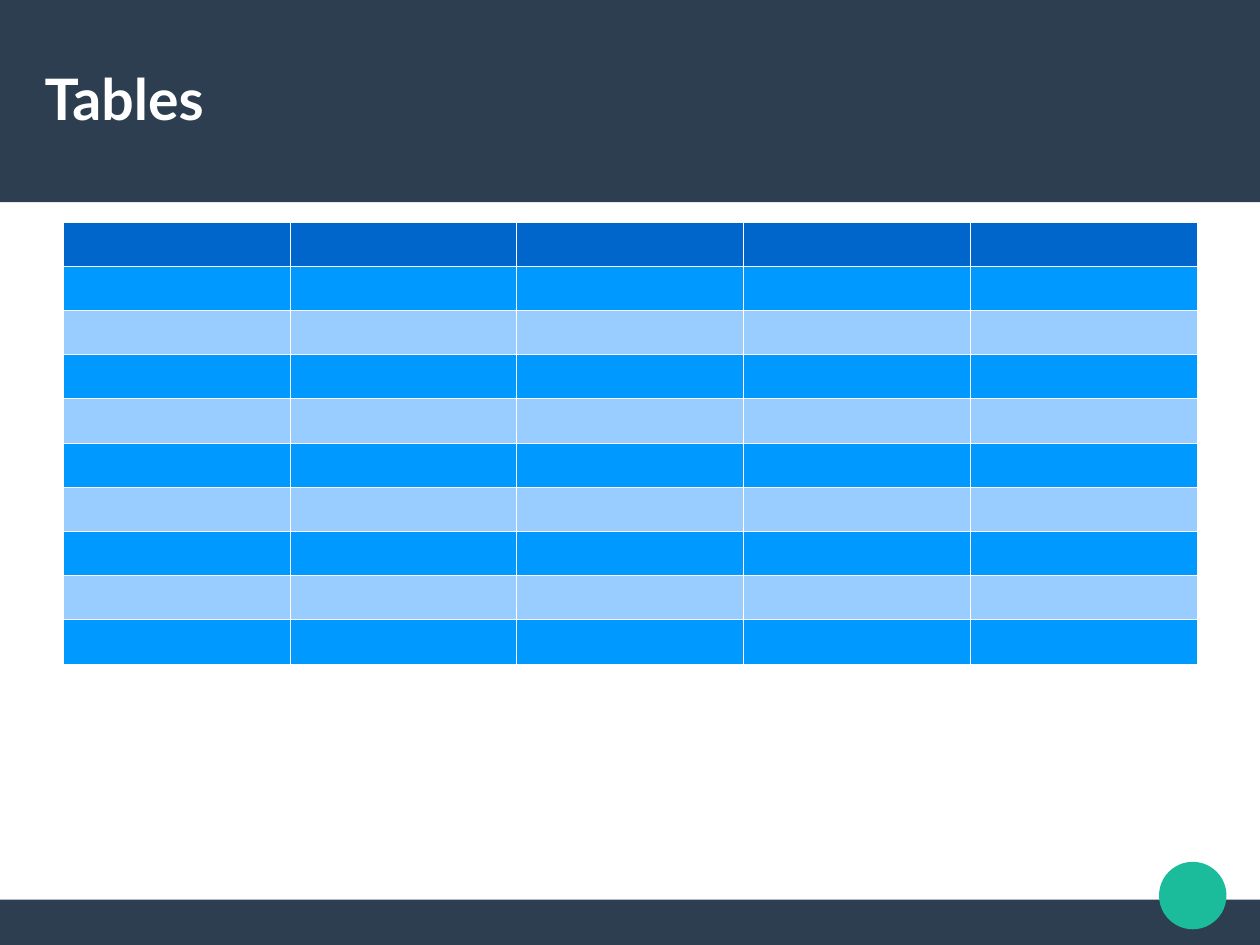
from lxml import etree
from pptx import Presentation
from pptx import util as u
from pptx.dml.color import RGBColor
from pptx.enum import shapes, text
from pptx.oxml.ns import qn

COLORS = {
    "navy": "2C3E50",
    "teal": "1ABC9C",
    "white": "FFFFFF",
    "header": "0066CC",
    "odd_row": "0099FF",
    "even_row": "99CCFF",
}
CM_PER_INCH = 2.54
WIDTH, HEIGHT = 28 / CM_PER_INCH, 21 / CM_PER_INCH
FOOTER_TOP = 7.87


def rgb(name):
    return RGBColor.from_string(COLORS[name])


class SlideBuilder:
    """Draws styled elements on one slide; boxes are in inches."""

    font = "Lato"
    border_width = u.Pt(0.06)

    def __init__(self, slide):
        self.slide = slide

    def shape(self, kind, box, color):
        shape = self.slide.shapes.add_shape(kind, *map(u.Inches, box))
        shape.shadow.inherit = False
        shape.fill.solid()
        shape.fill.fore_color.rgb = rgb(color)
        shape.line.fill.background()

    def title(self, wording, box):
        frame = self.slide.shapes.add_textbox(*map(u.Inches, box)).text_frame
        frame.word_wrap = True
        frame.vertical_anchor = text.MSO_ANCHOR.MIDDLE
        frame.margin_left = frame.margin_right = 0
        frame.margin_top = frame.margin_bottom = 0
        frame.text = wording
        font = frame.paragraphs[0].runs[0].font
        font.name, font.size, font.bold = self.font, u.Pt(36), True
        font.color.rgb = rgb("white")

    def border(self, cell):
        properties = cell._tc.get_or_add_tcPr()
        for position, side in enumerate(("lnL", "lnR", "lnT", "lnB")):
            line = etree.Element(qn(f"a:{side}"), w=str(self.border_width))
            fill = etree.SubElement(line, qn("a:solidFill"))
            etree.SubElement(fill, qn("a:srgbClr"), val=COLORS["white"])
            properties.insert(position, line)

    def banded_table(self, rows, columns, box):
        """Add an empty table with a header row and alternating bands."""
        table = self.slide.shapes.add_table(rows, columns, *map(u.Inches, box)).table
        for index, row in enumerate(table.rows):
            band = "odd_row" if index % 2 else "even_row"
            for cell in row.cells:
                cell.margin_top = cell.margin_bottom = u.Inches(0.02)
                cell.fill.solid()
                cell.fill.fore_color.rgb = rgb(band if index else "header")
                self.border(cell)


def main():
    deck = Presentation()
    deck.slide_width, deck.slide_height = u.Inches(WIDTH), u.Inches(HEIGHT)
    builder = SlideBuilder(deck.slides.add_slide(deck.slide_layouts[6]))

    kinds = shapes.MSO_SHAPE
    builder.shape(kinds.RECTANGLE, (0, FOOTER_TOP, WIDTH, HEIGHT - FOOTER_TOP), "navy")
    builder.shape(kinds.RECTANGLE, (0, 0, WIDTH, 1.77), "navy")
    builder.shape(kinds.OVAL, (10.14, 7.54, 0.59, 0.59), "teal")
    builder.title("Tables", (0.39, 0.33, 10.24, 1.05))
    builder.banded_table(10, 5, (0.55, 1.94, 9.92, 3.87))
    deck.save("out.pptx")


if __name__ == "__main__":
    main()
